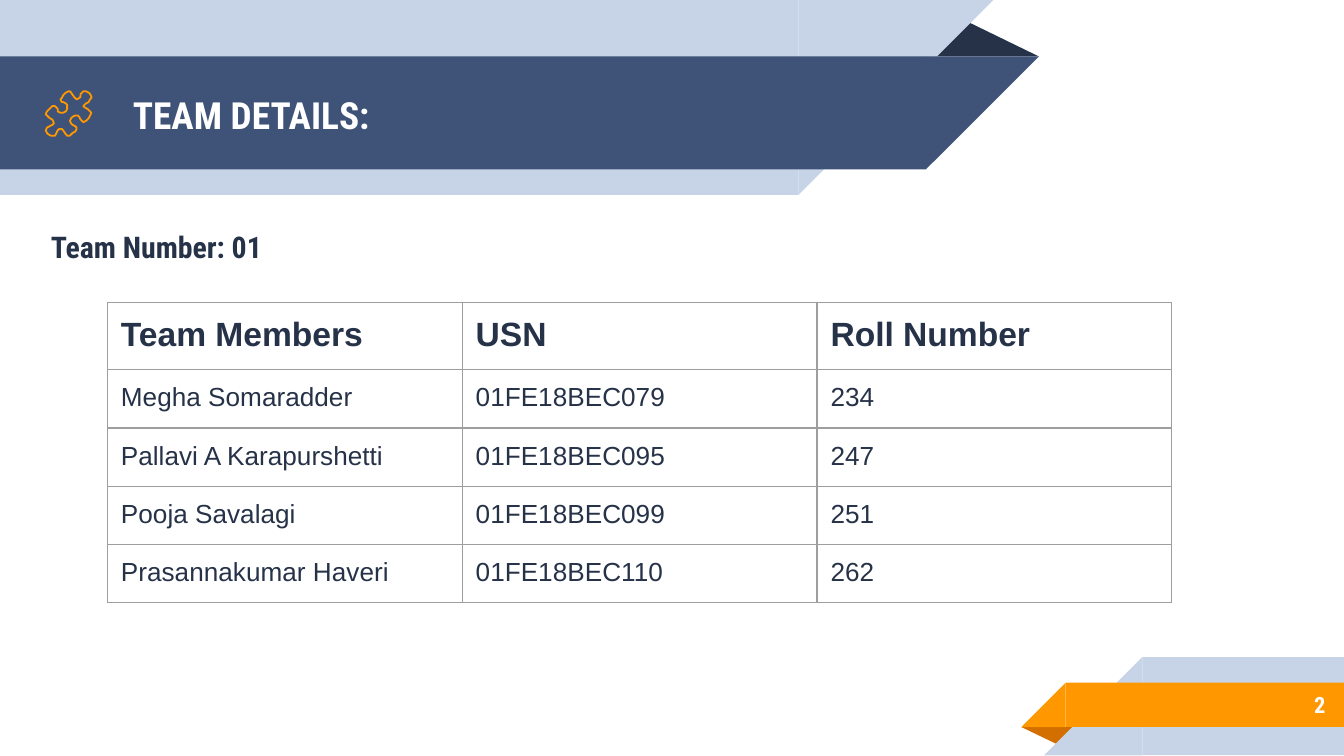
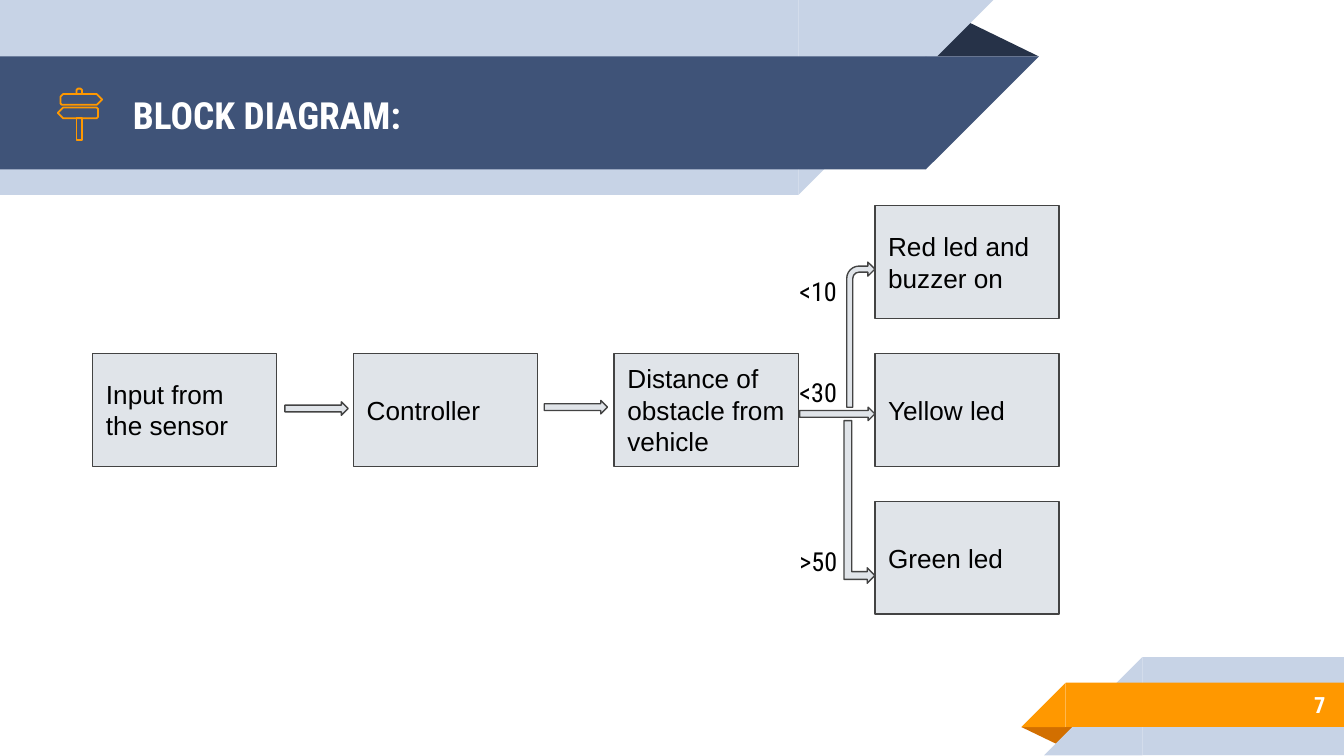
from lxml import etree
from pptx import Presentation
from pptx.dml.color import RGBColor
from pptx.enum.shapes import MSO_SHAPE as Preset
from pptx.enum.text import MSO_ANCHOR as Anchor, PP_ALIGN as Align
from pptx.oxml.ns import qn
from pptx.util import Inches, Pt

NAVY = RGBColor(0x26, 0x32, 0x48)
BLUE = RGBColor(0x3F, 0x53, 0x78)
PALE = RGBColor(0xC7, 0xD3, 0xE6)
ORANGE = RGBColor(0xFF, 0x98, 0x00)
RUST = RGBColor(0xD2, 0x6F, 0x00)
BLOCK_FILL = RGBColor(0xE0, 0xE4, 0xE9)
BLOCK_LINE = RGBColor(0x43, 0x43, 0x43)
TABLE_LINE = RGBColor(0x9E, 0x9E, 0x9E)
WHITE = RGBColor(0xFF, 0xFF, 0xFF)
BLACK = RGBColor(0x00, 0x00, 0x00)

HEADING, BODY = "Roboto Condensed", "Arial"
TITLE_STYLE = {"name": HEADING, "size": Pt(20), "bold": True, "color": WHITE}
NUMBER_STYLE = {**TITLE_STYLE, "size": Pt(12)}
SUBTITLE_STYLE = {**TITLE_STYLE, "size": Pt(16), "color": NAVY}
HEADER_STYLE = {"name": BODY, "size": Pt(18), "bold": True, "color": NAVY}
CELL_STYLE = {"name": BODY, "size": Pt(14), "bold": False, "color": NAVY}
BLOCK_STYLE = {"name": BODY, "size": Pt(14), "color": BLACK}
LABEL_STYLE = {"name": HEADING, "size": Pt(14), "color": BLACK}

# Preset, position, fill, format; the header is turned upside down.
UPTURNED = {"rotation": 180, "flip": True}
MIRRORED = {"flip": True}
BANDS = [
    (Preset.ISOSCELES_TRIANGLE, (6.88, 0.14, 0.85, 0.28), NAVY, {"adjustments": [0.324]}),
    (Preset.RECTANGLE, (0, 0, 5.94, 1.45), PALE, UPTURNED),
    (Preset.RIGHT_TRIANGLE, (5.94, 0, 1.45, 1.45), PALE, UPTURNED),
    (Preset.RECTANGLE, (0, 0.42, 6.89, 0.84), BLUE, UPTURNED),
    (Preset.RIGHT_TRIANGLE, (6.89, 0.42, 0.84, 0.84), BLUE, UPTURNED),
    (Preset.ISOSCELES_TRIANGLE, (7.6, 5.41, 0.43, 0.14), RUST,
     {"rotation": 180, "adjustments": [0.324]}),
    (Preset.RECTANGLE, (8.5, 4.89, 1.5, 0.73), PALE, MIRRORED),
    (Preset.RIGHT_TRIANGLE, (7.77, 4.89, 0.73, 0.73), PALE, MIRRORED),
    (Preset.RECTANGLE, (7.93, 5.08, 2.08, 0.33), ORANGE, MIRRORED),
    (Preset.RIGHT_TRIANGLE, (7.6, 5.08, 0.33, 0.33), ORANGE, MIRRORED),
]

# Icon outlines in hundredths of an inch.
PUZZLE = [[
    (64, 77), (66, 76), (67, 74), (68, 73), (68, 72), (67, 70), (66, 69), (64, 68),
    (62, 68), (61, 69), (60, 70), (60, 72), (59, 73), (57, 74), (56, 73), (55, 72),
    (53, 69), (52, 68), (51, 68), (49, 69), (47, 71), (46, 73), (45, 74), (46, 76),
    (47, 76), (49, 77), (50, 78), (50, 81), (49, 83), (47, 84), (45, 84), (43, 83),
    (43, 81), (42, 80), (41, 79), (39, 79), (37, 81), (35, 83), (34, 85), (35, 86),
    (37, 88), (39, 89), (40, 91), (40, 92), (39, 93), (37, 94), (35, 95), (34, 97),
    (35, 99), (36, 100), (38, 101), (40, 101), (41, 101), (42, 99), (43, 97), (44, 96),
    (46, 96), (47, 97), (49, 100), (50, 101), (52, 101), (54, 99), (56, 98), (57, 96),
    (57, 95), (56, 94), (54, 93), (53, 92), (52, 90), (53, 88), (54, 87), (56, 86),
    (58, 86), (59, 87), (60, 89), (61, 90), (62, 91), (64, 90), (66, 88), (67, 86),
    (68, 84), (67, 83), (65, 81), (63, 80), (62, 79), (63, 78),
]]
SIGNPOST = [
    [(72, 70), (47, 70), (46, 71), (45, 72), (45, 77), (46, 78), (47, 78), (72, 78), (76, 74)],
    [(47, 80), (72, 80), (73, 81), (73, 82), (73, 87), (72, 88), (47, 88), (43, 84)],
    [(61, 70), (61, 67), (60, 66), (58, 66), (57, 67), (57, 70)],
    [(57, 88), (57, 104), (61, 104), (61, 88)],
]

TEAM = [
    ("Team Members", "USN", "Roll Number"),
    ("Megha Somaradder", "01FE18BEC079", "234"),
    ("Pallavi A Karapurshetti", "01FE18BEC095", "247"),
    ("Pooja Savalagi", "01FE18BEC099", "251"),
    ("Prasannakumar Haveri", "01FE18BEC110", "262"),
]
ROW_HEIGHTS = [0.48] + [0.42] * (len(TEAM) - 1)

# Text, column and row of each block.
BLOCKS = [
    ("Input from the sensor", 0, 1),
    ("Controller", 1, 1),
    ("Distance of obstacle from vehicle", 2, 1),
    ("Red led and buzzer on", 3, 0),
    ("Yellow led", 3, 1),
    ("Green led", 3, 2),
]
ARROWS = [
    (Preset.RIGHT_ARROW, (2.12, 2.99, 0.47, 0.1), {}),
    (Preset.RIGHT_ARROW, (4.05, 2.98, 0.47, 0.1), {}),
    (Preset.RIGHT_ARROW, (5.95, 3.03, 0.56, 0.1), {}),
    (Preset.BENT_ARROW, (6.3, 1.95, 0.21, 1.08), {"adjustments": [0.214, 0.25, 0.25, 0.438]}),
    (Preset.BENT_UP_ARROW, (5.79, 3.62, 1.21, 0.23), {"rotation": 90}),
]
LABELS = [("<10", 1.95, 0.56), (">50", 3.96, 0.56), ("<30", 2.7, 0.79)]


def inches(values):
    """Turn a sequence of numbers into lengths."""
    return [Inches(value) for value in values]


def write_text(frame, text, style, anchor=Anchor.TOP, align=Align.LEFT):
    """Put one styled paragraph into a text frame."""
    settings = {"word_wrap": True, "vertical_anchor": anchor}
    for side in ("left", "right", "top", "bottom"):
        settings["margin_" + side] = Inches(0.1)
    for name, value in settings.items():
        setattr(frame, name, value)
    paragraph = frame.paragraphs[0]
    paragraph.alignment = align
    run = paragraph.add_run()
    run.text = text
    for name, value in style.items():
        if name == "color":
            run.font.color.rgb = value
        else:
            setattr(run.font, name, value)


def add_text(slide, position, text, style, **layout):
    """Add a text box."""
    box = slide.shapes.add_textbox(*inches(position))
    write_text(box.text_frame, text, style, **layout)


def add_preset(slide, preset, position, fill, line=None, rotation=0, flip=False, adjustments=()):
    """Add a filled preset shape, outlined when a line colour is given."""
    shape = slide.shapes.add_shape(preset, *inches(position))
    shape.shadow.inherit = False
    shape.fill.solid()
    shape.fill.fore_color.rgb = fill
    if line is None:
        shape.line.fill.background()
    else:
        shape.line.color.rgb = line
        shape.line.width = Pt(0.75)
    shape.rotation = rotation
    if flip:
        shape.element.spPr.get_or_add_xfrm().set("flipH", "1")
    for index, value in enumerate(adjustments):
        shape.adjustments[index] = value
    return shape


def add_icon(slide, outlines):
    """Draw an icon as closed orange outlines."""
    for start, *rest in outlines:
        builder = slide.shapes.build_freeform(*start, scale=Inches(0.01))
        builder.add_line_segments(rest, close=True)
        shape = builder.convert_to_shape()
        shape.shadow.inherit = False
        shape.fill.background()
        shape.line.color.rgb = ORANGE
        shape.line.width = Pt(0.96)


def add_cell_borders(cell):
    """Give a table cell a thin border on all four sides."""
    properties = cell._tc.get_or_add_tcPr()
    for index, side in enumerate(("lnL", "lnR", "lnT", "lnB")):
        border = etree.Element(qn("a:" + side), w=str(Pt(0.75)))
        fill = etree.SubElement(border, qn("a:solidFill"))
        etree.SubElement(fill, qn("a:srgbClr"), val=str(TABLE_LINE))
        properties.insert(index, border)


def add_team_table(slide):
    """Add the table of team members."""
    rows, columns = len(TEAM), len(TEAM[0])
    position = inches((0.8, 2.25, 2.64 * columns, sum(ROW_HEIGHTS)))
    table = slide.shapes.add_table(rows, columns, *position).table
    table.first_row = table.horz_banding = False
    for row, texts in enumerate(TEAM):
        table.rows[row].height = Inches(ROW_HEIGHTS[row])
        for column, text in enumerate(texts):
            cell = table.cell(row, column)
            write_text(cell.text_frame, text, CELL_STYLE if row else HEADER_STYLE)
            for side in ("left", "right", "top", "bottom"):
                setattr(cell, "margin_" + side, Inches(0.1))
            cell.vertical_anchor = Anchor.TOP
            cell.fill.background()
            add_cell_borders(cell)


def add_block_diagram(slide):
    """Add the blocks, the arrows between them and the distance labels."""
    for text, column, row in BLOCKS:
        position = (0.69 + 1.94 * column, 1.53 + 1.1 * row, 1.37, 0.84)
        block = add_preset(slide, Preset.RECTANGLE, position, BLOCK_FILL, BLOCK_LINE)
        write_text(block.text_frame, text, BLOCK_STYLE, anchor=Anchor.MIDDLE)
    for preset, position, options in ARROWS:
        add_preset(slide, preset, position, BLOCK_FILL, BLOCK_LINE, **options)
    for text, top, width in LABELS:
        add_text(slide, (5.85, top, width, 0.44), text, LABEL_STYLE)


def add_framed_slide(presentation, title, number, icon):
    """Add a slide with its bands, title, page number and icon."""
    slide = presentation.slides.add_slide(presentation.slide_layouts[6])
    for preset, position, fill, options in BANDS:
        add_preset(slide, preset, position, fill, **options)
    add_text(slide, (0.89, 0.43, 5.75, 0.84), title, TITLE_STYLE, anchor=Anchor.MIDDLE)
    add_text(slide, (8.33, 5.07, 1.63, 0.35), number, NUMBER_STYLE,
             anchor=Anchor.MIDDLE, align=Align.RIGHT)
    add_icon(slide, icon)
    return slide


def main():
    """Build the two slides and save them."""
    presentation = Presentation()
    presentation.slide_width = Inches(10)
    presentation.slide_height = Inches(10 * 9 / 16)

    team = add_framed_slide(presentation, "TEAM DETAILS:", "2", PUZZLE)
    add_team_table(team)
    add_text(team, (0.28, 1.6, 9.2, 0.47), "Team Number: 01", SUBTITLE_STYLE)

    diagram = add_framed_slide(presentation, "BLOCK DIAGRAM:", "7", SIGNPOST)
    add_block_diagram(diagram)

    presentation.save("out.pptx")


main()
